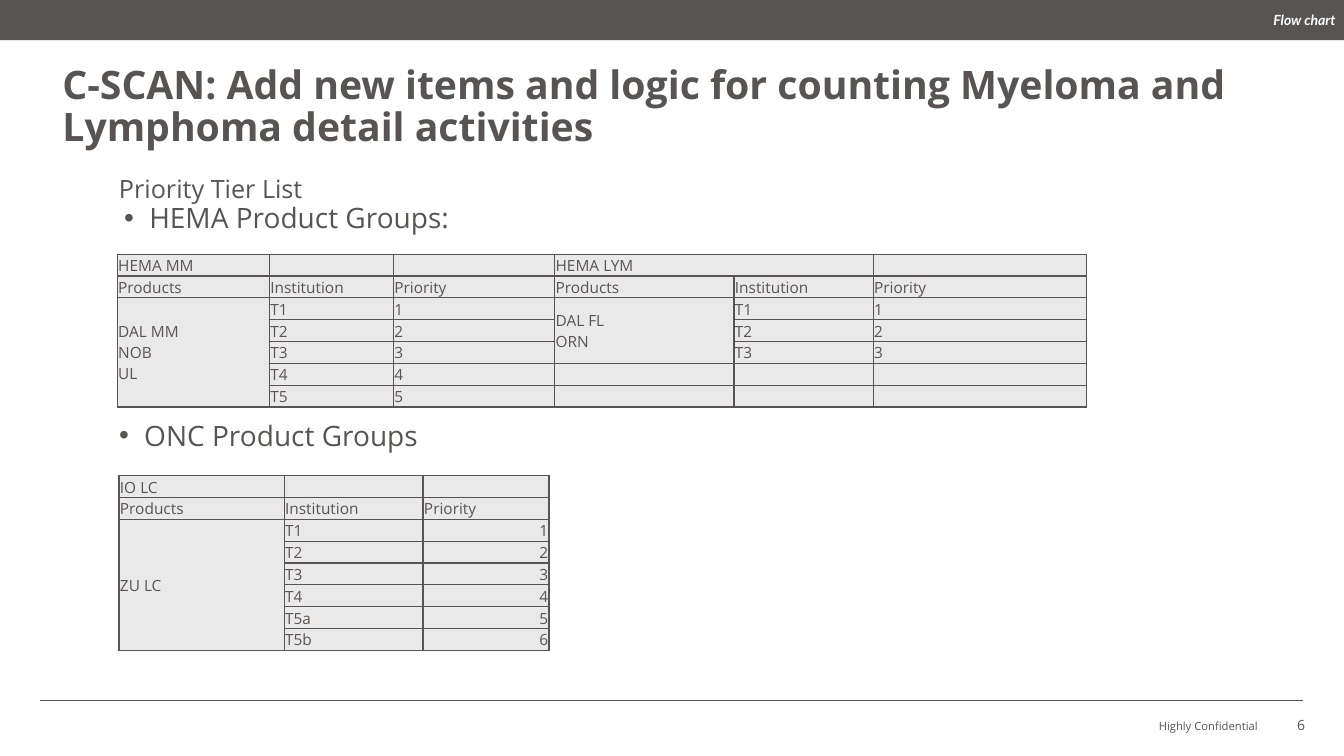
"""Build the C-SCAN priority tier slide."""
from lxml.etree import SubElement as Sub
from pptx import Presentation as Deck
from pptx.dml.color import RGBColor as Rgb
from pptx.enum.shapes import MSO_CONNECTOR as Conn, MSO_SHAPE as Kind
from pptx.enum.text import MSO_ANCHOR as Anchor, MSO_AUTO_SIZE as Auto, PP_ALIGN as Align
from pptx.oxml.ns import qn
from pptx.util import Pt

HUES = {"ink": "595454", "cell": "EAE9E9", "white": "FFFFFF"}
ROW = 15.6
TIERS = ["T1", "T2", "T3", "T4", "T5"]
HEAD = ["Products", "Institution", "Priority"]


def hue(name):
    """Return a named colour."""
    return Rgb.from_string(HUES[name])


def style(font, size, tone="ink", face="Open Sans", bold=False, slant=False):
    """Set the look of a font."""
    font.name, font.size, font.bold, font.italic = face, Pt(size), bold, slant
    font.color.rgb = hue(tone)


def write(para, text, size, **look):
    """Add text run by run, with a line break between lines."""
    for n, line in enumerate(text.split("\n")):
        if n:
            para.add_line_break()
        run = para.add_run()
        run.text = line
        style(run.font, size, **look)


def inset(frame, left=0, top=0, right=0, low=0):
    """Set the inner margins of a text frame or cell."""
    frame.margin_left, frame.margin_top = Pt(left), Pt(top)
    frame.margin_right, frame.margin_bottom = Pt(right), Pt(low)


def label(slide, box, text, size, align=Align.LEFT, anchor=Anchor.TOP, pad=(), **look):
    """Add a text box and return its paragraph."""
    frame = slide.shapes.add_textbox(*map(Pt, box)).text_frame
    frame.word_wrap, frame.vertical_anchor = True, anchor
    inset(frame, *pad)
    para = frame.paragraphs[0]
    para.alignment = align
    write(para, text, size, **look)
    return para


def bullet(para, left):
    """Give a paragraph a hanging bullet."""
    para.space_before = Pt(12)
    props = para._p.get_or_add_pPr()
    props.set("marL", str(Pt(left)))
    props.set("indent", str(-Pt(18)))
    Sub(props, qn("a:buFont"), typeface="Arial")
    Sub(props, qn("a:buChar"), char="•")


def edge(cell):
    """Draw all four borders of a cell."""
    props = cell._tc.get_or_add_tcPr()
    for side in "LRTB":
        line = Sub(props, qn("a:ln" + side), w=str(Pt(1)))
        fill = Sub(line, qn("a:solidFill"))
        Sub(fill, qn("a:srgbClr"), val=HUES["ink"])


def grid(slide, left, top, cols, rows, spans, right=()):
    """Add a table; spans hold first and last cell, right the right-set columns."""
    box = map(Pt, (left, top, sum(cols), ROW * len(rows)))
    table = slide.shapes.add_table(len(rows), len(cols), *box).table
    table.first_row = table.horz_banding = False
    for col, width in zip(table.columns, cols):
        col.width = Pt(width)
    for y, row in enumerate(rows):
        table.rows[y].height = Pt(ROW)
        for x, text in enumerate(row):
            cell = table.cell(y, x)
            edge(cell)
            cell.fill.solid()
            cell.fill.fore_color.rgb = hue("cell")
            inset(cell, 0.7, 0.7, 0.7)
            cell.vertical_anchor = Anchor.BOTTOM if y else Anchor.MIDDLE
            para = cell.text_frame.paragraphs[0]
            if text:
                write(para, text, 11)
            else:
                Sub(para._p, qn("a:endParaRPr"), sz="1100")
            if x in right and y > 1:
                para.alignment = Align.RIGHT
    for first, last in spans:
        table.cell(*first).merge(table.cell(*last))
        table.cell(*first).vertical_anchor = Anchor.MIDDLE


def bar(slide):
    """Add the dark band at the top."""
    band = slide.shapes.add_shape(Kind.RECTANGLE, 0, 0, Pt(960), Pt(28.8))
    band.shadow.inherit = False
    band.fill.solid()
    band.fill.fore_color.rgb = hue("ink")
    band.line.fill.background()


def rule(slide):
    """Add the thin line above the footer."""
    line = slide.shapes.add_connector(Conn.STRAIGHT, Pt(28.8), Pt(500.4), Pt(931), Pt(500.4))
    line.line.color.rgb, line.line.width = hue("ink"), Pt(0.5)
    Sub(line._element.spPr, qn("a:effectLst"))


def head(slide, text):
    """Place and fill the title."""
    title = slide.shapes.title
    title.left, title.top, title.width, title.height = map(Pt, (44.6, 46.8, 871.2, 62))
    frame = title.text_frame
    frame.word_wrap, frame.vertical_anchor = True, Anchor.TOP
    frame.auto_size = Auto.TEXT_TO_FIT_SHAPE
    inset(frame)
    para = frame.paragraphs[0]
    para.alignment, para.line_spacing = Align.LEFT, 0.9
    write(para, text, 28, bold=True)


def main():
    """Build and save the slide."""
    deck = Deck()
    deck.slide_width, deck.slide_height = Pt(960), Pt(540)
    slide = deck.slides.add_slide(deck.slide_layouts[5])
    rule(slide)
    label(slide, (645.8, 506.2, 252.7, 18), "Highly Confidential", 8,
          Align.RIGHT, Anchor.BOTTOM, (0, 0, 0, 0.7))
    head(slide, "C-SCAN: Add new items and logic for counting Myeloma and "
                "Lymphoma detail activities")
    bar(slide)
    label(slide, (778, 0, 183, 28), "Flow chart", 10, Align.RIGHT, Anchor.MIDDLE,
          (7.2, 3.6, 7.2, 3.6), tone="white", face="Lato", bold=True, slant=True)
    label(slide, (919.4, 508.3, 25.2, 18), "6", 10, pad=(7.2, 3.6, 7.2, 3.6))
    bullet(label(slide, (52.6, 143.3, 807.8, 255.6), "HEMA Product Groups:", 20), 54)
    label(slide, (85, 123.8, 548, 31), "Priority Tier List", 18)

    hema = [["HEMA MM", "", "", "HEMA LYM", "", ""], HEAD * 2]
    for n, tier in enumerate(TIERS):
        pair = [tier, str(n + 1)]
        names = ("", "") if n else ("DAL MM\nNOB\nUL", "DAL FL\nORN")
        hema.append([names[0], *pair, names[1], *(pair if n < 3 else ["", ""])])
    grid(slide, 83.7, 181.6, (108.7, 88.6, 115.2, 128.1, 99.4, 152.6), hema,
         [((0, 3), (0, 4)), ((2, 0), (6, 0)), ((2, 3), (4, 3))])

    onc = [["IO LC", "", ""], HEAD]
    for n, tier in enumerate(TIERS[:4] + ["T5a", "T5b"]):
        onc.append(["" if n else "ZU LC", tier, str(n + 1)])
    grid(slide, 85, 339.8, (118, 99.2, 90), onc, [((2, 0), (7, 0))], right=(2,))
    bullet(label(slide, (85, 298.8, 306, 13), "ONC Product Groups", 20), 18)
    deck.save("out.pptx")


main()
